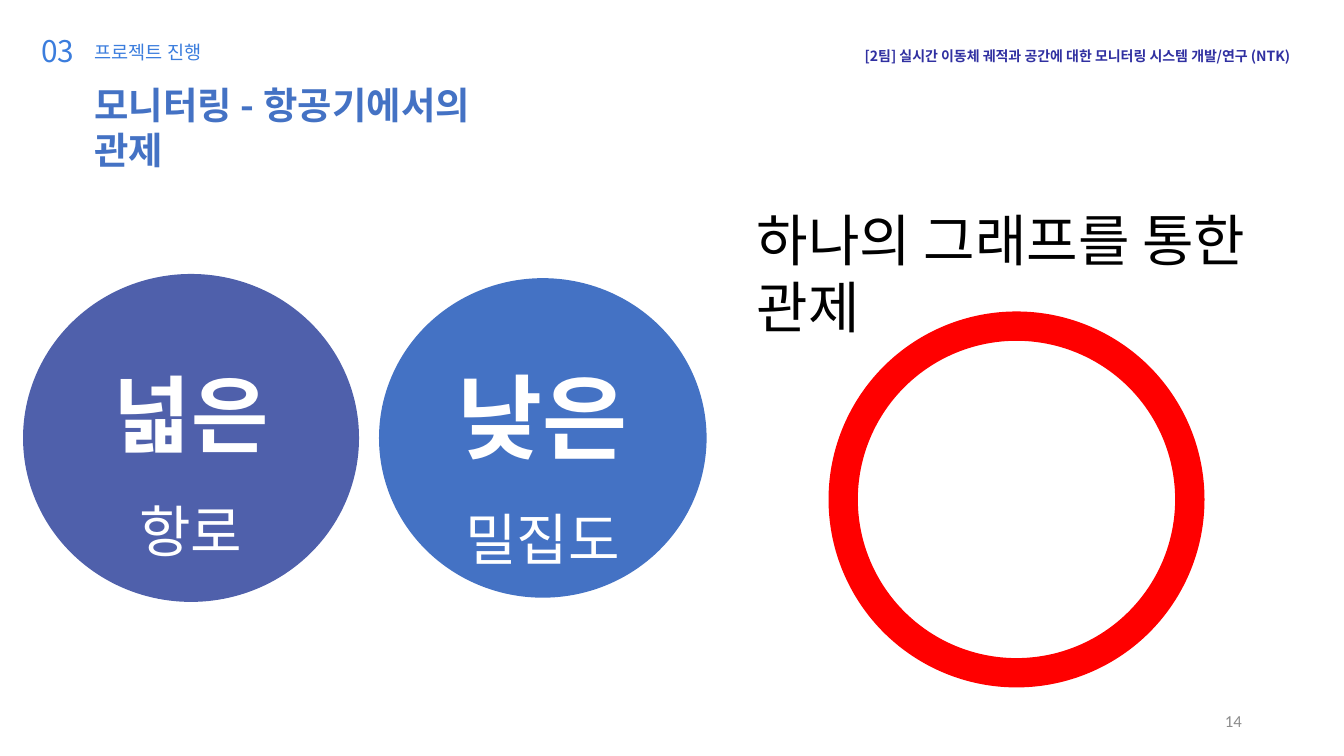
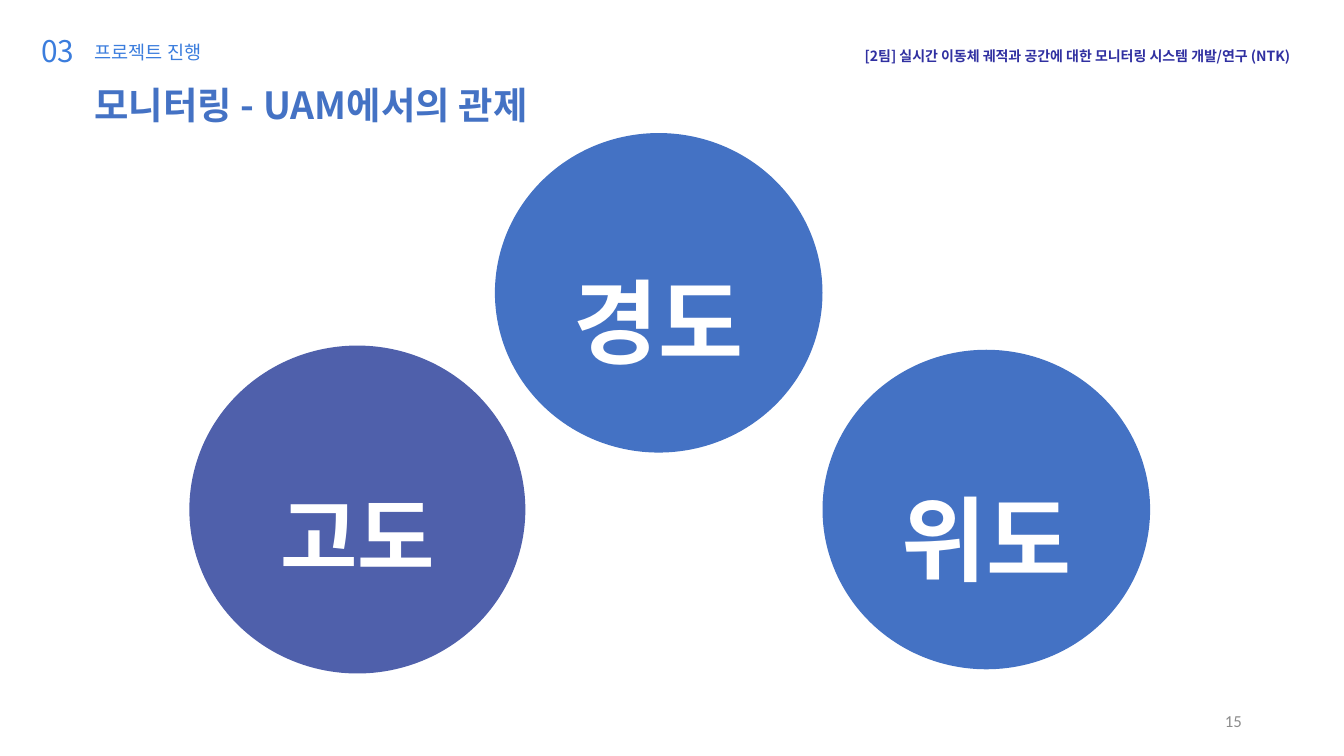
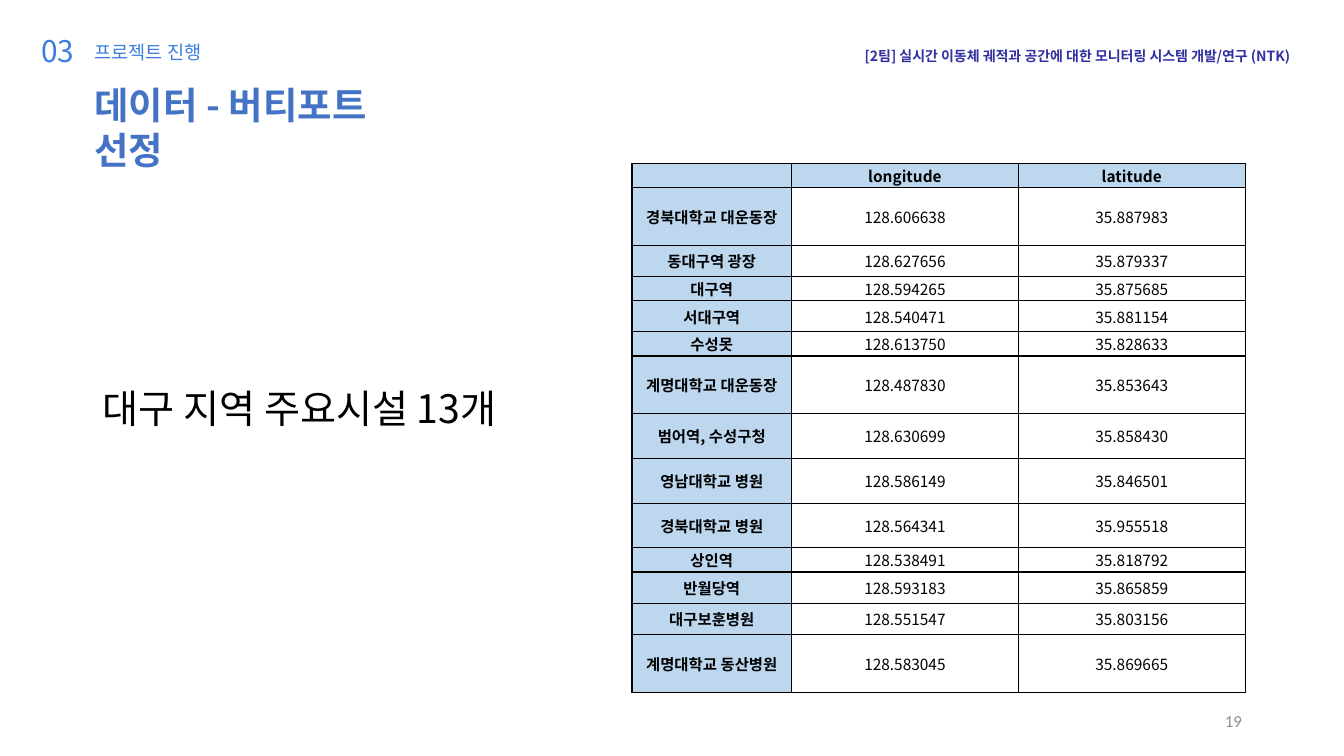
from dataclasses import dataclass
from typing import Optional

import pptx
import pptx.dml.color
import pptx.enum.shapes
import pptx.enum.text
import pptx.oxml
import pptx.oxml.ns
import pptx.util
from lxml import etree

Pt = pptx.util.Pt
qn = pptx.oxml.ns.qn
ALIGN = pptx.enum.text.PP_ALIGN
ANCHOR = pptx.enum.text.MSO_ANCHOR
PRESET = pptx.enum.shapes.MSO_SHAPE

KOREAN = "Noto Sans CJK KR"
COLORS = {
    "banner": "3030A1",
    "section": "3B7DDD",
    "blue": "4472C4",
    "indigo": "4F60AB",
    "ring": "FF0000",
    "label": "BDD7EE",
    "page": "8C8C8C",
    "black": "000000",
    "white": "FFFFFF",
}


@dataclass(frozen=True)
class TextSpec:
    text: str
    left: float
    top: float
    width: float
    height: float
    size: float
    color: str = "black"
    bold: bool = False
    face: str = KOREAN
    align: Optional[ALIGN] = None
    spacing: Optional[float] = None
    anchor: ANCHOR = ANCHOR.TOP
    grow: bool = True


@dataclass(frozen=True)
class Bubble:
    word: str
    left: float
    top: float
    size: float
    color: str = "blue"
    outlined: bool = False
    detail: str = ""


def rgb(name: str) -> pptx.dml.color.RGBColor:
    return pptx.dml.color.RGBColor.from_string(COLORS[name])


def style(paragraph, face: str, color: str, size: Optional[float] = None,
          bold: Optional[bool] = None) -> None:
    font = paragraph.font
    font.name = face
    font.color.rgb = rgb(color)
    font.bold = bold
    if size:
        font.size = Pt(size)
    # East Asian typeface for the Hangul
    defaults = paragraph._p.get_or_add_pPr().find(qn("a:defRPr"))
    etree.SubElement(defaults, qn("a:ea")).set("typeface", KOREAN)


def add_text(shapes, spec: TextSpec) -> None:
    box = shapes.add_textbox(Pt(spec.left), Pt(spec.top), Pt(spec.width), Pt(spec.height))
    frame = box.text_frame
    frame.word_wrap = True
    frame.vertical_anchor = spec.anchor
    if spec.grow:
        frame.auto_size = pptx.enum.text.MSO_AUTO_SIZE.SHAPE_TO_FIT_TEXT
    paragraph = frame.paragraphs[0]
    paragraph.text = spec.text
    paragraph.alignment = spec.align
    paragraph.line_spacing = spec.spacing
    style(paragraph, spec.face, spec.color, spec.size, spec.bold)


def add_figure(slide, preset: PRESET, left: float, top: float, width: float,
               height: float, color: str, outlined: bool = False):
    figure = slide.shapes.add_shape(preset, Pt(left), Pt(top), Pt(width), Pt(height))
    figure.shadow.inherit = False
    figure.fill.solid()
    figure.fill.fore_color.rgb = rgb(color)
    if outlined:
        figure.line.color.rgb = rgb(color)
        figure.line.width = Pt(6)
    else:
        figure.line.fill.background()
    return figure


def add_bubble(slide, bubble: Bubble) -> None:
    circle = add_figure(slide, PRESET.OVAL, bubble.left, bubble.top, BUBBLE_WIDTH,
                        BUBBLE_HEIGHT, bubble.color, bubble.outlined)
    frame = circle.text_frame
    frame.word_wrap = True
    frame.vertical_anchor = ANCHOR.MIDDLE
    paragraph = frame.paragraphs[0]
    paragraph.alignment = ALIGN.CENTER
    paragraph.line_spacing = 1.5
    style(paragraph, "Lato", "white")
    parts = [(bubble.word, bubble.size, True)]
    if bubble.detail:
        parts.append((" " + bubble.detail, 40, False))
    for text, size, bold in parts:
        run = paragraph.add_run()
        run.text = text
        run.font.size = Pt(size)
        run.font.bold = bold


def start_slide(deck, title: str, title_width: float, page: int):
    """Add a slide with the shared header, title and page number."""
    slide = deck.slides.add_slide(deck.slide_layouts[6])
    add_text(slide.shapes, TextSpec(
        "[2팀] 실시간 이동체 궤적과 공간에 대한 모니터링 시스템 개발/연구 (NTK)",
        610.56, 30.24, 334, 31.68, 10, "banner", True))
    section = slide.shapes.add_group_shape()
    add_text(section.shapes, TextSpec("03", 22.32, 20.16, 48.24, 33.12, 21.3, "section"))
    add_text(section.shapes, TextSpec(
        "프로젝트 진행", 60.48, 25.92, 125.28, 23.76, 13.3, "section"))
    add_text(slide.shapes, TextSpec(
        title, 60.48, 55.44, title_width, 39.6, 26.7, "blue", True))
    add_text(slide.shapes, TextSpec(
        str(page), 678.24, 500.4, 216, 28.8, 12, "page", face="Calibri",
        align=ALIGN.RIGHT, anchor=ANCHOR.MIDDLE, grow=False))
    return slide


def add_borders(cell) -> None:
    properties = cell._tc.get_or_add_tcPr()
    for side in ("lnL", "lnR", "lnT", "lnB"):
        line = etree.SubElement(properties, qn(f"a:{side}"), w=str(Pt(1)))
        fill = etree.SubElement(line, qn("a:solidFill"))
        etree.SubElement(fill, qn("a:srgbClr"), val=COLORS["black"])


def fill_cell(cell, text: str, is_label: bool) -> None:
    add_borders(cell)
    if is_label:
        cell.fill.solid()
        cell.fill.fore_color.rgb = rgb("label")
    else:
        cell.fill.background()
    cell.vertical_anchor = ANCHOR.MIDDLE
    cell.margin_left = cell.margin_right = Pt(2.88)
    cell.margin_top = cell.margin_bottom = Pt(0.6)
    paragraph = cell.text_frame.paragraphs[0]
    paragraph.alignment = ALIGN.CENTER
    if text:
        paragraph.text = text
    style(paragraph, KOREAN, "black", 11, is_label)
    if not text:
        # Keeps the empty corner cell as low as its row
        etree.SubElement(paragraph._p, qn("a:endParaRPr"), sz="1100")


def add_site_table(slide) -> None:
    width, height = sum(COLUMN_WIDTHS), sum(row[0] for row in SITES)
    table = slide.shapes.add_table(
        len(SITES), len(COLUMN_WIDTHS), Pt(451.44), Pt(116.64), Pt(width), Pt(height)).table
    table.first_row = table.horz_banding = False
    for column, column_width in zip(table.columns, COLUMN_WIDTHS):
        column.width = Pt(column_width)
    for r, (row_height, *values) in enumerate(SITES):
        table.rows[r].height = Pt(row_height)
        for c, value in enumerate(values):
            fill_cell(table.cell(r, c), value, r == 0 or c == 0)


BUBBLE_WIDTH, BUBBLE_HEIGHT = 234, 228.24

AIRCRAFT_BUBBLES = [
    Bubble("낮은", 270.72, 198.72, 66, detail="밀집도"),
    Bubble("넓은", 19.44, 198.72, 60, "indigo", True, "항로"),
]
UAM_BUBBLES = [
    Bubble("위도", 587.52, 249.84, 66),
    Bubble("고도", 138.24, 249.84, 60, "indigo", True),
    Bubble("경도", 353.52, 95.04, 66),
]

# Row heights of the vertiport table
LOW, MEDIUM, HIGH, TALL = 17.28, 22.32, 31.9, 41.3
COLUMN_WIDTHS = (114, 162, 162)
SITES = [
    (LOW, "", "longitude", "latitude"),
    (TALL, "경북대학교 대운동장", "128.606638", "35.887983"),
    (MEDIUM, "동대구역 광장", "128.627656", "35.879337"),
    (LOW, "대구역", "128.594265", "35.875685"),
    (MEDIUM, "서대구역", "128.540471", "35.881154"),
    (LOW, "수성못", "128.613750", "35.828633"),
    (TALL, "계명대학교 대운동장", "128.487830", "35.853643"),
    (HIGH, "범어역, 수성구청", "128.630699", "35.858430"),
    (HIGH, "영남대학교 병원", "128.586149", "35.846501"),
    (HIGH, "경북대학교 병원", "128.564341", "35.955518"),
    (LOW, "상인역", "128.538491", "35.818792"),
    (MEDIUM, "반월당역", "128.593183", "35.865859"),
    (MEDIUM, "대구보훈병원", "128.551547", "35.803156"),
    (TALL, "계명대학교 동산병원", "128.583045", "35.869665"),
]


def main() -> None:
    deck = pptx.Presentation()
    deck.slide_width, deck.slide_height = Pt(960), Pt(540)

    # Monitoring of aircraft
    aircraft = start_slide(deck, "모니터링 - 항공기에서의 관제", 333.36, 14)
    for bubble in AIRCRAFT_BUBBLES:
        add_bubble(aircraft, bubble)
    ring = add_figure(aircraft, PRESET.DONUT, 591.84, 222.48, 268.56, 268.56, "ring")
    ring.adjustments[0] = 0.078
    add_text(aircraft.shapes, TextSpec(
        "하나의 그래프를 통한 관제", 533.52, 143.28, 406.8, 55.44, 40, face="Lato"))

    # Monitoring of urban air mobility
    uam = start_slide(deck, "모니터링 - UAM에서의 관제", 324, 15)
    for bubble in UAM_BUBBLES:
        add_bubble(uam, bubble)

    # Vertiport sites
    vertiports = start_slide(deck, "데이터 - 버티포트 선정", 262.08, 19)
    add_site_table(vertiports)
    add_text(vertiports.shapes, TextSpec(
        "대구 지역 주요시설 13개", 22.32, 237.6, 383.04, 64.8, 28,
        align=ALIGN.CENTER, spacing=2))

    deck.save("out.pptx")


if __name__ == "__main__":
    main()
